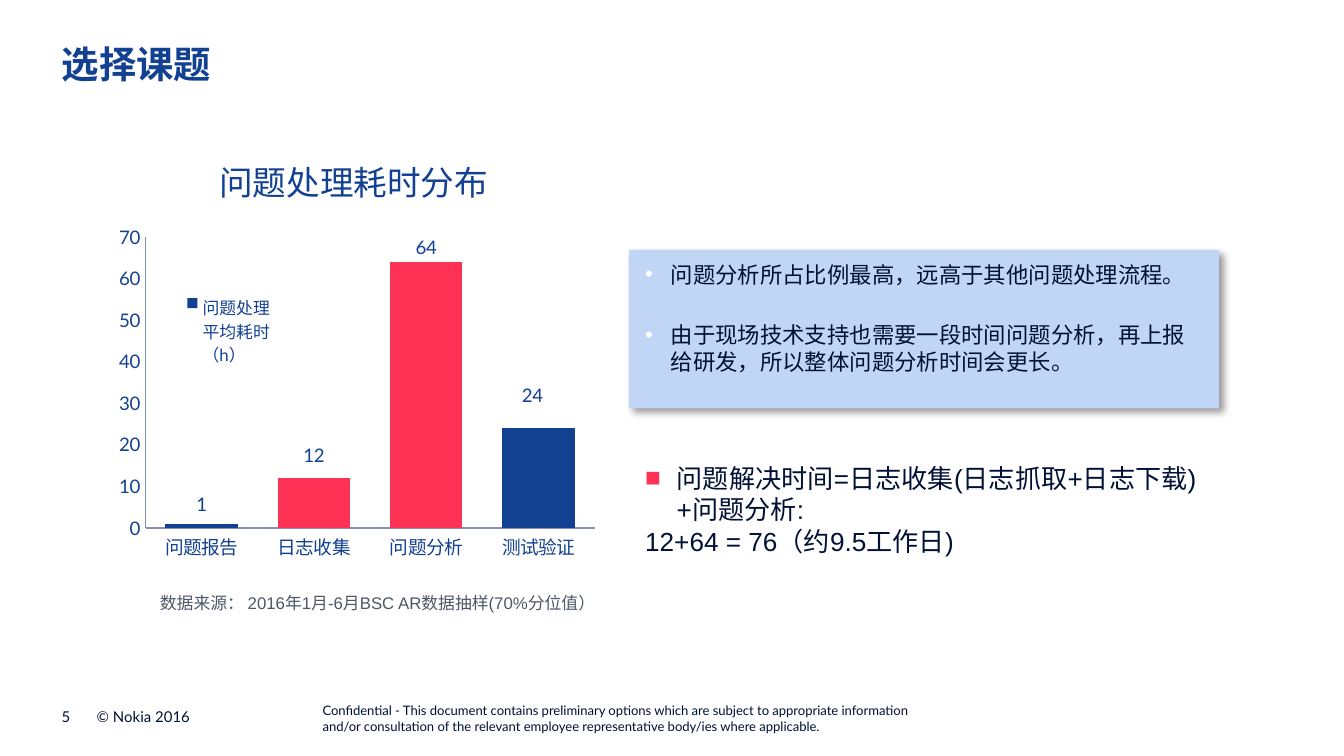
"""Build the topic selection slide with its time distribution chart."""
from dataclasses import dataclass
from typing import Any, NamedTuple, Optional

import lxml.etree
import pptx
import pptx.chart.data
import pptx.dml.color
import pptx.enum.chart
import pptx.enum.shapes
import pptx.enum.text
import pptx.oxml
import pptx.oxml.ns
import pptx.util

Pt = pptx.util.Pt
RGBColor = pptx.dml.color.RGBColor
ANCHOR = pptx.enum.text.MSO_ANCHOR
NAVY = RGBColor(0x12, 0x41, 0x91)
INK = RGBColor(0x00, 0x11, 0x35)
RED = RGBColor(0xFF, 0x31, 0x54)
PALE_BLUE = RGBColor(0xC1, 0xD5, 0xF7)
GREY = RGBColor(0x4D, 0x57, 0x66)
AXIS_BLUE = RGBColor(0x88, 0x90, 0xB8)
WHITE = RGBColor(0xFF, 0xFF, 0xFF)

SLIDE_WIDTH = pptx.util.Inches(10)
SLIDE_HEIGHT = SLIDE_WIDTH * 9 // 16
COLUMN = SLIDE_WIDTH / 100
ROW = SLIDE_HEIGHT / 56.25


class Area(NamedTuple):
    """A place on the grid, in columns and rows."""
    column: float
    row: float
    columns: float
    rows: float

    def emu(self) -> tuple[int, ...]:
        """Return left, top, width and height in EMU."""
        return tuple(round(share * unit) for share, unit in zip(self, (COLUMN, ROW) * 2))


class Bullet(NamedTuple):
    """A bullet with its hanging indent in columns."""
    symbol: str
    color: RGBColor
    margin: float
    hang: float


@dataclass
class Paragraph:
    """One paragraph of text, with an optional bullet."""
    text: str
    bullet: Optional[Bullet] = None
    before: float = 0
    after: float = 0


class Stage(NamedTuple):
    """One stage of problem handling, with its label shift in shares of the chart."""
    name: str
    hours: int
    color: RGBColor
    shift: tuple[float, float]


DOT = Bullet("•", WHITE, 2.7, 1.9)
SQUARE = Bullet("■", RED, 2.35, 2.35)
STAGES = [
    Stage("问题报告", 1, NAVY, (0, -0.05)),
    Stage("日志收集", 12, RED, (0, -0.11)),
    Stage("问题分析", 64, RED, (0, -0.34)),
    Stage("测试验证", 24, NAVY, (-0.01, -0.19)),
]


def write_text(shape: Any, *paragraphs: Paragraph, size: float, color: RGBColor = INK,
               font: str = "Arial", bold: bool = False, anchor: Any = ANCHOR.TOP,
               insets: tuple[float, ...] = (0, 0, 0, 0)) -> None:
    """Fill a shape with formatted paragraphs, insets being left, top, right, bottom."""
    frame = shape.text_frame
    frame.word_wrap = True
    frame.vertical_anchor = anchor
    left, top, right, bottom = insets
    frame.margin_left, frame.margin_right = round(left * COLUMN), round(right * COLUMN)
    frame.margin_top, frame.margin_bottom = round(top * ROW), round(bottom * ROW)
    for index, item in enumerate(paragraphs):
        paragraph = frame.add_paragraph() if index else frame.paragraphs[0]
        paragraph.alignment = pptx.enum.text.PP_ALIGN.LEFT
        paragraph.space_before, paragraph.space_after = Pt(item.before), Pt(item.after)
        if item.bullet:
            add_bullet(paragraph, item.bullet)
        run = paragraph.add_run()
        run.text = item.text
        run.font.size, run.font.name, run.font.bold = Pt(size), font, bold
        run.font.color.rgb = color


def add_bullet(paragraph: Any, bullet: Bullet) -> None:
    """Give a paragraph a coloured bullet and a hanging indent."""
    properties = paragraph._p.get_or_add_pPr()
    properties.set("marL", str(round(bullet.margin * COLUMN)))
    properties.set("indent", str(round(-bullet.hang * COLUMN)))
    qn = pptx.oxml.ns.qn
    color = lxml.etree.SubElement(properties, qn("a:buClr"))
    lxml.etree.SubElement(color, qn("a:srgbClr"), val=str(bullet.color))
    lxml.etree.SubElement(properties, qn("a:buFont"), typeface="Arial")
    lxml.etree.SubElement(properties, qn("a:buChar"), char=bullet.symbol)


def add_text(slide: Any, area: Area, *paragraphs: Paragraph, **style: Any) -> None:
    """Add a text box."""
    write_text(slide.shapes.add_textbox(*area.emu()), *paragraphs, **style)


def add_panel(slide: Any, area: Area, *paragraphs: Paragraph, **style: Any) -> None:
    """Add a pale panel with a soft shadow."""
    panel = slide.shapes.add_shape(pptx.enum.shapes.MSO_SHAPE.RECTANGLE, *area.emu())
    panel.fill.solid()
    panel.fill.fore_color.rgb = PALE_BLUE
    panel.line.fill.background()
    panel._element.spPr.append(pptx.oxml.parse_xml(
        f'<a:effectLst {pptx.oxml.ns.nsdecls("a")}>'
        f'<a:outerShdw blurRad="{Pt(4)}" dist="{Pt(3)}" dir="2700000" algn="tl" rotWithShape="0">'
        '<a:srgbClr val="000000"><a:alpha val="40000"/></a:srgbClr></a:outerShdw></a:effectLst>'))
    write_text(panel, *paragraphs, **style)


def chart_layout(inner: bool = False, edge: bool = True, **shares: float) -> Any:
    """Return a manual layout in shares of the chart."""
    target = '<c:layoutTarget val="inner"/>' if inner else ""
    modes = '<c:xMode val="edge"/><c:yMode val="edge"/>' if edge else ""
    values = "".join(f'<c:{key} val="{value}"/>' for key, value in shares.items())
    return pptx.oxml.parse_xml(f'<c:layout {pptx.oxml.ns.nsdecls("c")}><c:manualLayout>'
                               f'{target}{modes}{values}</c:manualLayout></c:layout>')


def place(parent: Any, layout: Any, after: str) -> None:
    """Put a layout behind the named child, or first if there is none."""
    qn = pptx.oxml.ns.qn
    for old in parent.findall(qn("c:layout")):
        parent.remove(old)
    previous = parent.find(qn(after))
    parent.insert(0 if previous is None else parent.index(previous) + 1, layout)


def add_time_chart(slide: Any, area: Area) -> None:
    """Add the column chart of hours per stage."""
    kinds = pptx.enum.chart
    data = pptx.chart.data.CategoryChartData()
    data.categories = [stage.name for stage in STAGES]
    data.add_series("问题处理平均耗时（h）", [stage.hours for stage in STAGES])
    chart = slide.shapes.add_chart(kinds.XL_CHART_TYPE.COLUMN_STACKED, *area.emu(), data).chart
    chart.font.size, chart.font.name = Pt(10), "Lato"
    chart.font.color.rgb = NAVY

    chart.has_title = True
    chart.chart_title.text_frame.text = "问题处理耗时分布"
    title_font = chart.chart_title.text_frame.paragraphs[0].runs[0].font
    title_font.size, title_font.name, title_font.bold = Pt(18), "Lato", False
    title_font.color.rgb = NAVY
    place(chart.chart_title._element, chart_layout(x=0.27, y=0.03), "c:tx")

    chart.has_legend = True
    chart.legend.position = kinds.XL_LEGEND_POSITION.RIGHT
    chart.legend.include_in_layout = False
    chart.legend.font.size = Pt(9)
    chart.legend.font.color.rgb = NAVY
    place(chart.legend._element, chart_layout(x=0.22, y=0.36, w=0.15, h=0.19), "c:legendPos")

    for axis in (chart.category_axis, chart.value_axis):
        axis.has_major_gridlines = False
        axis.major_tick_mark = axis.minor_tick_mark = kinds.XL_TICK_MARK.NONE
        axis.format.line.color.rgb = AXIS_BLUE
        axis.format.line.width = Pt(0.75)
    chart.value_axis.minimum_scale, chart.value_axis.maximum_scale = 0, 70
    chart.value_axis.major_unit = 10

    plot = chart.plots[0]
    plot.gap_width, plot.overlap, plot.vary_by_categories = 55, 100, False
    place(chart._chartSpace.chart.plotArea,
          chart_layout(inner=True, x=0.16, y=0.24, w=0.73, h=0.67), "c:none")
    series = plot.series[0]
    series.format.fill.solid()
    series.format.fill.fore_color.rgb = NAVY
    labels = series.data_labels
    labels.show_value = True
    for leader in labels._element.findall(pptx.oxml.ns.qn("c:showLeaderLines")):
        leader.set("val", "0")
    for index, stage in enumerate(STAGES):
        if stage.color != NAVY:
            fill = series.points[index].format.fill
            fill.solid()
            fill.fore_color.rgb = stage.color
        label = series.points[index].data_label
        label.font.size = Pt(10)
        label.font.color.rgb = NAVY
        x, y = stage.shift
        place(labels._element.dLbl_lst[index], chart_layout(edge=False, x=x, y=y), "c:idx")


def main() -> None:
    """Build and save the slide."""
    deck = pptx.Presentation()
    deck.slide_width, deck.slide_height = SLIDE_WIDTH, SLIDE_HEIGHT
    slide = deck.slides.add_slide(deck.slide_layouts[6])
    footer = {"font": "Lato", "anchor": ANCHOR.BOTTOM}
    even = (0.8, 0.8, 0.8, 0.8)
    add_text(slide, Area(4.6, 52.7, 1.6, 1.3), Paragraph("5"), size=8, **footer)
    add_text(slide, Area(7.2, 52.7, 19.7, 1.3), Paragraph("© Nokia 2016"), size=8, **footer)
    add_text(slide, Area(24, 52.3, 43.8, 2.3), Paragraph(
        "Confidential - This document contains preliminary options which are subject to "
        "appropriate information and/or consultation of the relevant employee representative "
        "body/ies where applicable."), size=7, **footer)
    add_panel(slide, Area(46.8, 18.6, 43.9, 11.8),
              Paragraph("问题分析所占比例最高，远高于其他问题处理流程。", DOT, after=6),
              Paragraph("由于现场技术支持也需要一段时间问题分析，再上报给研发，所以整体问题分析时间会更长。",
                        DOT, before=12, after=6),
              size=12, insets=(0.4, 0.8, 2, 0.8))
    add_text(slide, Area(4.6, 3.1, 90.9, 3.4), Paragraph("选择课题"),
             size=20, color=NAVY, font="Roboto", bold=True)
    add_time_chart(slide, Area(3.5, 9.9, 45.8, 32.3))
    add_text(slide, Area(11.1, 43.3, 35.1, 4.6),
             Paragraph("数据来源： 2016年1月-6月BSC AR数据抽样(70%分位值）"),
             size=9, color=GREY, insets=even)
    add_text(slide, Area(47.2, 33.6, 43.8, 8.7),
             Paragraph("问题解决时间=日志收集(日志抓取+日志下载)+问题分析:", SQUARE),
             Paragraph("12+64 = 76（约9.5工作日)"), size=14, insets=even)
    deck.save("out.pptx")


if __name__ == "__main__":
    main()
